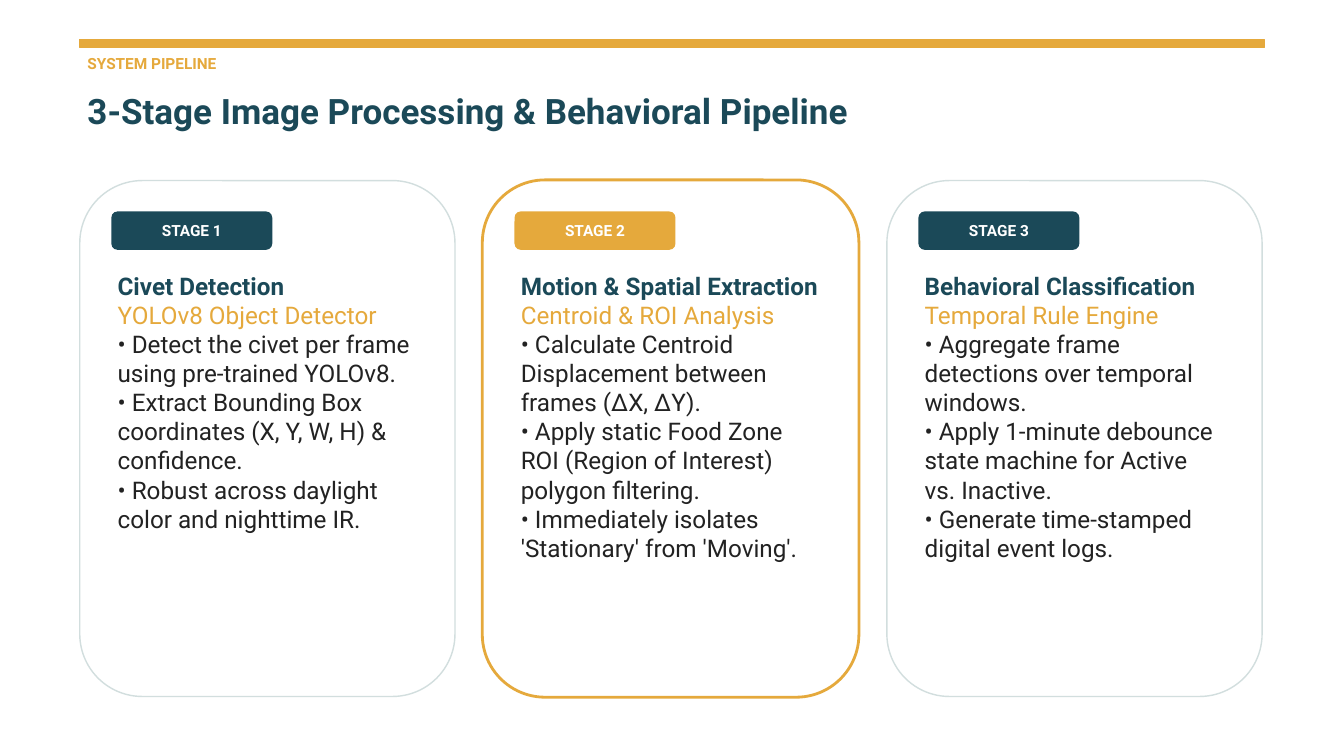
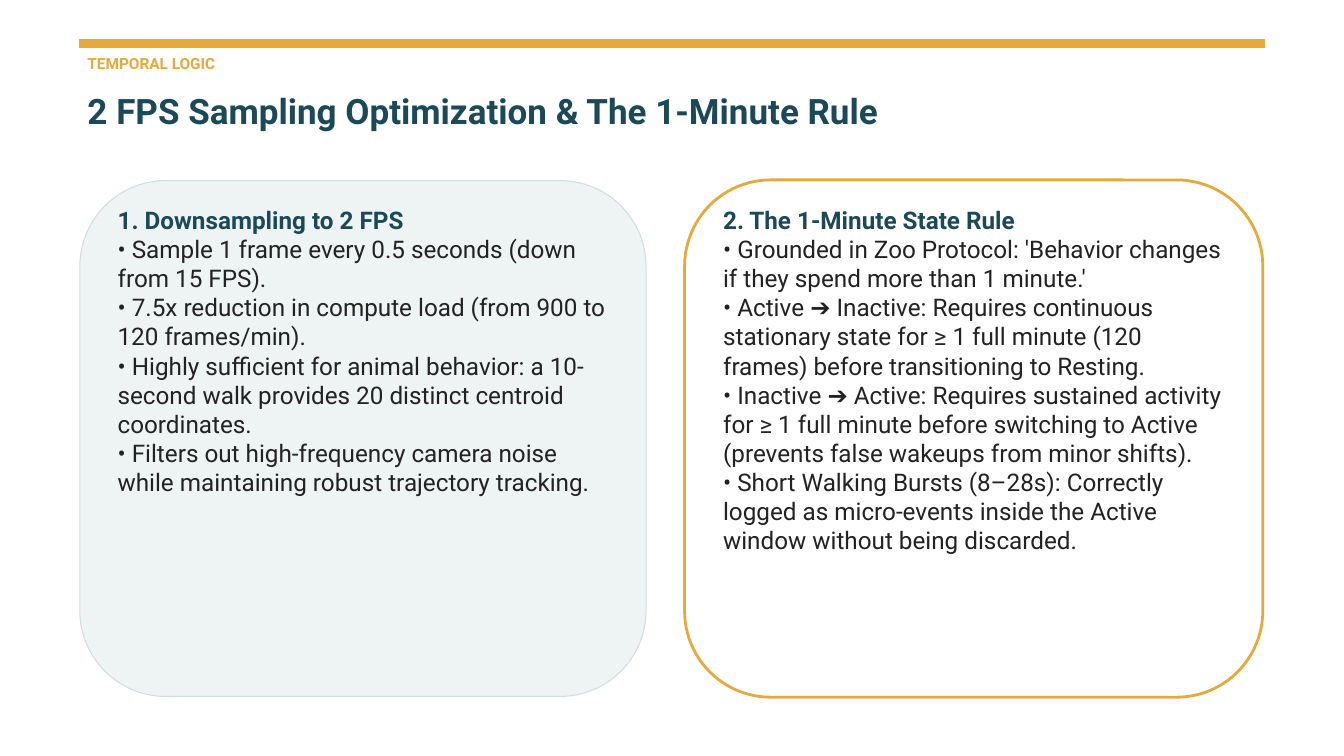
"""Build two slides on the civet image pipeline and its temporal logic."""
from lxml import etree
from pptx import Presentation
from pptx.dml.color import RGBColor
from pptx.enum.shapes import MSO_SHAPE
from pptx.enum.text import MSO_ANCHOR, MSO_AUTO_SIZE, PP_ALIGN
from pptx.oxml.ns import qn
from pptx.util import Pt

PX = 9525
RECTANGLE, ROUNDED = MSO_SHAPE.RECTANGLE, MSO_SHAPE.ROUNDED_RECTANGLE
TOP, MIDDLE = MSO_ANCHOR.TOP, MSO_ANCHOR.MIDDLE
LEFT, CENTER = PP_ALIGN.LEFT, PP_ALIGN.CENTER
NO_AUTOFIT = MSO_AUTO_SIZE.NONE
COMPARISON_LAYOUT = 4

GOLD = RGBColor(0xE5, 0xA9, 0x3C)
TEAL = RGBColor(0x1B, 0x49, 0x58)
INK = RGBColor(0x22, 0x22, 0x22)
WHITE = RGBColor(0xFF, 0xFF, 0xFF)
MIST = RGBColor(0xEE, 0xF3, 0xF3)
BORDER = RGBColor(0xD2, 0xDE, 0xDE)

LABEL = {"name": "Roboto", "size": Pt(16.5), "bold": True}
TITLE = {"name": "Roboto", "size": Pt(37.5), "bold": True}
HEADING = {"name": "Roboto", "size": Pt(26), "bold": True}
BODY = {"name": "Roboto", "size": Pt(26), "bold": False}

MARGIN, CARD_TOP, CARD_HEIGHT = 114, 258, 737
PADDING, ROW_HEIGHT = 54, 41

SLIDES = [
    {
        "kicker": "SYSTEM PIPELINE",
        "title": "3-Stage Image Processing & Behavioral Pipeline",
        "body_top": 387,
        "cards": [
            {"left": MARGIN, "width": 536, "fill": WHITE, "border": 1.5, "rows": 9,
             "badge": "STAGE 1", "heading": "Civet Detection",
             "method": "YOLOv8 Object Detector",
             "points": ["• Detect the civet per frame using pre-trained YOLOv8.",
                        "• Extract Bounding Box coordinates (X, Y, W, H) & confidence.",
                        "• Robust across daylight color and nighttime IR."]},
            {"left": 690, "width": 536, "highlight": True, "rows": 11,
             "badge": "STAGE 2", "heading": "Motion & Spatial Extraction",
             "method": "Centroid & ROI Analysis",
             "points": ["• Calculate Centroid Displacement between frames (ΔX, ΔY).",
                        "• Apply static Food Zone ROI (Region of Interest) polygon filtering.",
                        "• Immediately isolates 'Stationary' from 'Moving'."]},
            {"left": 1267, "width": 536, "fill": WHITE, "border": 1.5, "rows": 10,
             "badge": "STAGE 3", "heading": "Behavioral Classification",
             "method": "Temporal Rule Engine",
             "points": ["• Aggregate frame detections over temporal windows.",
                        "• Apply 1-minute debounce state machine for Active vs. Inactive.",
                        "• Generate time-stamped digital event logs."]},
        ],
    },
    {
        "kicker": "TEMPORAL LOGIC",
        "title": "2 FPS Sampling Optimization & The 1-Minute Rule",
        "body_top": 293,
        "cards": [
            {"left": MARGIN, "width": 809, "fill": MIST, "border": 1.13, "rows": 10,
             "heading": "1. Downsampling to 2 FPS",
             "points": ["• Sample 1 frame every 0.5 seconds (down from 15 FPS).",
                        "• 7.5x reduction in compute load (from 900 to 120 frames/min).",
                        "• Highly sufficient for animal behavior: a 10-second walk "
                        "provides 20 distinct centroid coordinates.",
                        "• Filters out high-frequency camera noise while maintaining "
                        "robust trajectory tracking."]},
            {"left": 979, "width": 824, "highlight": True, "rows": 12,
             "heading": "2. The 1-Minute State Rule",
             "points": ["• Grounded in Zoo Protocol: 'Behavior changes if they spend "
                        "more than 1 minute.'",
                        "• Active ➔ Inactive: Requires continuous stationary state for "
                        "≥ 1 full minute (120 frames) before transitioning to Resting.",
                        "• Inactive ➔ Active: Requires sustained activity for ≥ 1 full "
                        "minute before switching to Active (prevents false wakeups from "
                        "minor shifts).",
                        "• Short Walking Bursts (8–28s): Correctly logged as micro-events "
                        "inside the Active window without being discarded."]},
        ],
    },
]


def write(shape, box, lines, spacing, align=LEFT, anchor=TOP, inset=0):
    """Place a shape and fill it with (text, format, colour) lines."""
    for name, value in zip(("left", "top", "width", "height"), box):
        setattr(shape, name, value * PX)
    frame = shape.text_frame
    frame.auto_size, frame.word_wrap, frame.vertical_anchor = NO_AUTOFIT, True, anchor
    for side in ("left", "top", "right", "bottom"):
        setattr(frame, f"margin_{side}", inset * PX)
    for index, (text, font_format, color) in enumerate(lines):
        paragraph = frame.add_paragraph() if index else frame.paragraphs[0]
        paragraph.alignment, paragraph.line_spacing = align, Pt(spacing)
        paragraph.space_before = Pt(0)
        properties = paragraph._p.get_or_add_pPr()
        properties.set("marL", "0")
        properties.set("indent", "0")
        etree.SubElement(properties, qn("a:buNone"))
        run = paragraph.add_run()
        run.text = text
        for name, value in font_format.items():
            setattr(run.font, name, value)
        run.font.color.rgb = color


def add_panel(slide, kind, box, fill, line=None, line_width=0):
    """Add a filled shape without shadow, outlined when a line colour is given."""
    shape = slide.shapes.add_shape(kind, *(value * PX for value in box))
    shape.shadow.inherit = False
    shape.fill.solid()
    shape.fill.fore_color.rgb = fill
    if line is None:
        shape.line.fill.background()
    else:
        shape.line.color.rgb = line
        shape.line.width = Pt(line_width)
    return shape


presentation = Presentation()
presentation.slide_width, presentation.slide_height = 1920 * PX, 1080 * PX

for content in SLIDES:
    slide = presentation.slides.add_slide(presentation.slide_layouts[COMPARISON_LAYOUT])
    title, kicker, *bodies = slide.placeholders
    add_panel(slide, RECTANGLE, (MARGIN, 57, 1692, 11), GOLD, GOLD, 1.13)
    write(kicker, (125, 77, 1671, 41), [(content["kicker"], LABEL, GOLD)], 19.8)
    write(title, (125, 128, 1671, 106), [(content["title"], TITLE, TEAL)], 45)

    for card, body in zip(content["cards"], bodies):
        left, width = card["left"], card["width"]
        if card.get("highlight"):
            add_panel(slide, ROUNDED, (left - 1, CARD_TOP - 1, width + 2, CARD_HEIGHT + 2),
                      WHITE, GOLD, 3)
        else:
            add_panel(slide, ROUNDED, (left, CARD_TOP, width, CARD_HEIGHT),
                      card["fill"], BORDER, card["border"])
        if "badge" in card:
            badge_box = (left + 45, 302, 230, 55)
            badge = add_panel(slide, ROUNDED, badge_box, GOLD if card.get("highlight") else TEAL)
            write(badge, badge_box, [(card["badge"], LABEL, WHITE)], 19.8, CENTER, MIDDLE, 6)

        lines = [(card["heading"], HEADING, TEAL)]
        if "method" in card:
            lines.append((card["method"], BODY, GOLD))
        lines += [(point, BODY, INK) for point in card["points"]]
        body_box = (left + PADDING, content["body_top"], width - 2 * PADDING,
                    card["rows"] * ROW_HEIGHT)
        write(body, body_box, lines, 31.2)
        slide.shapes.element.append(body.element)

    for unused in bodies[len(content["cards"]):]:
        slide.shapes.element.remove(unused.element)

presentation.save("out.pptx")
